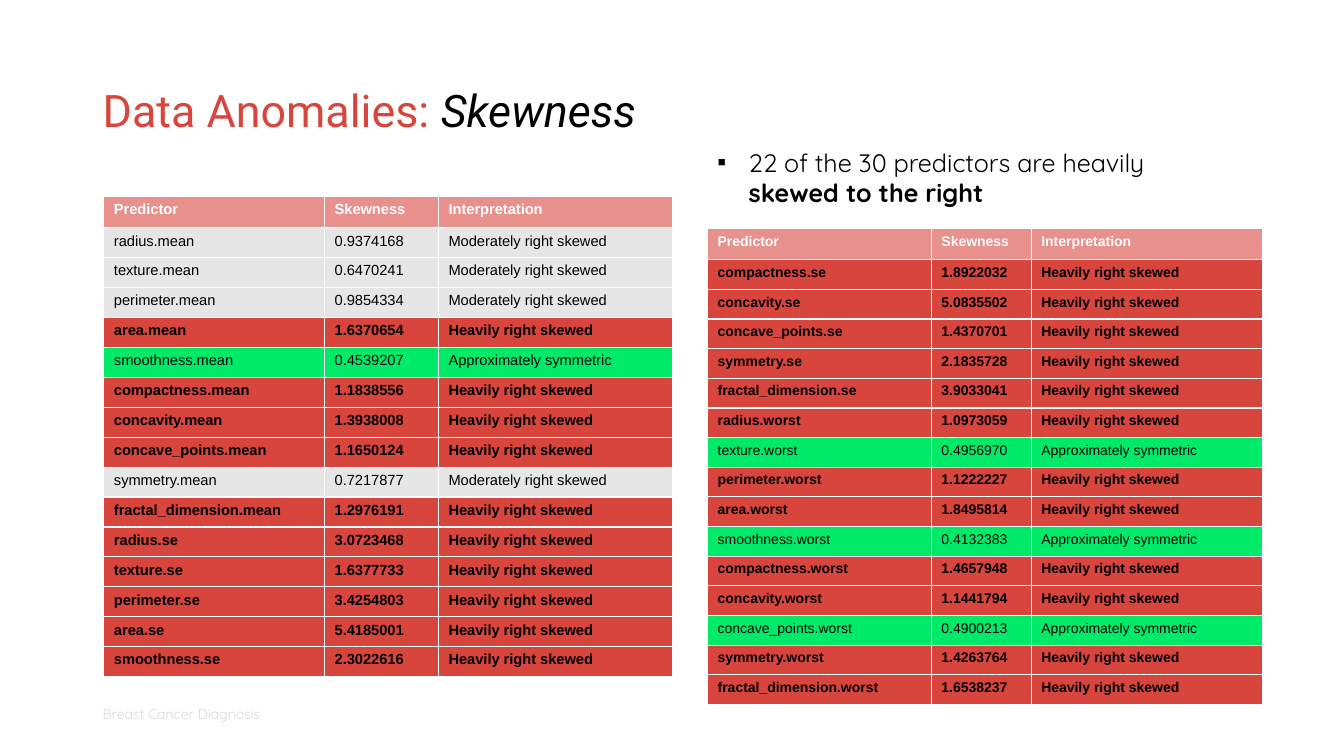
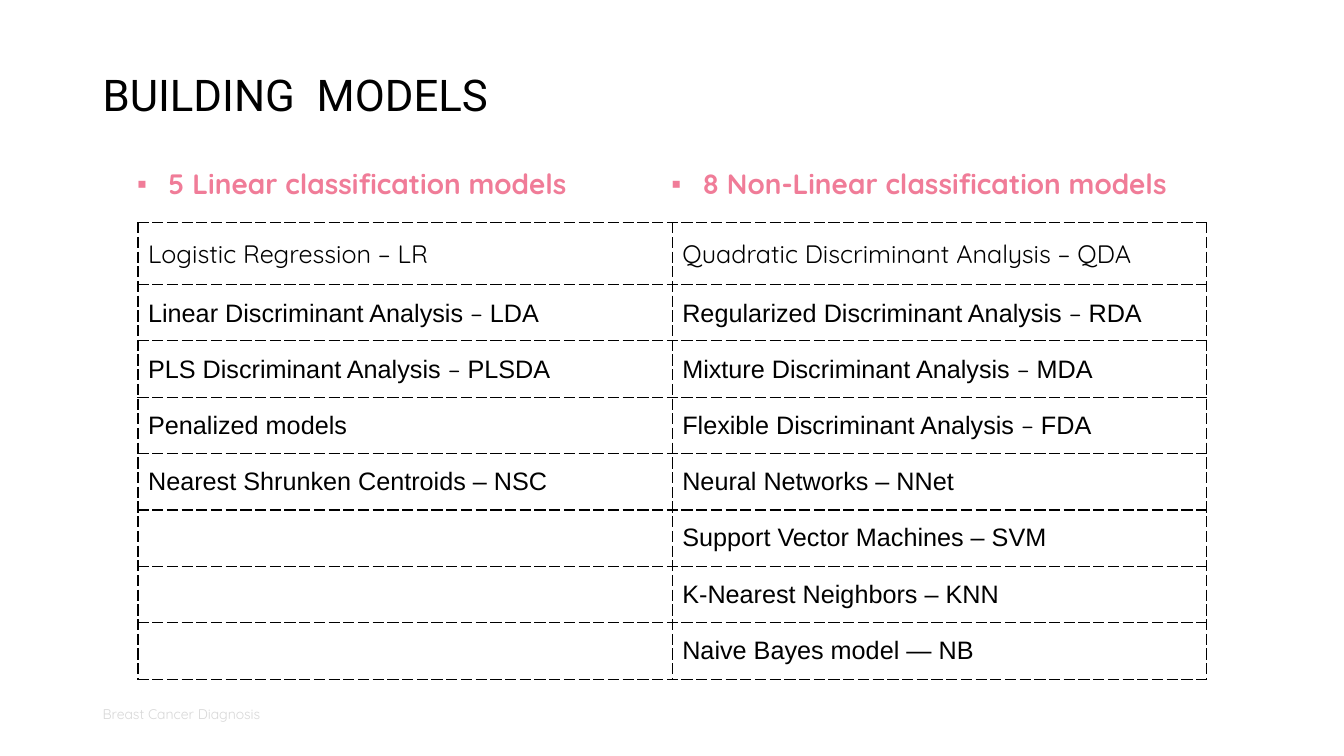
from dataclasses import dataclass

from lxml import etree
from pptx import Presentation
from pptx.dml.color import RGBColor
from pptx.enum.text import MSO_ANCHOR
from pptx.oxml.ns import qn
from pptx.util import Emu, Inches, Pt

TOP, MIDDLE = MSO_ANCHOR.TOP, MSO_ANCHOR.MIDDLE
SLIDE_W, SLIDE_H = Inches(13.33), Inches(7.5)


@dataclass(frozen=True)
class Theme:
    black: str = "000000"
    white: str = "FFFFFF"
    red: str = "D8453D"
    head: str = "E8908B"
    grey: str = "E7E6E6"
    green: str = "00EA6A"
    pink: str = "F07C98"
    footer: str = "D8D8D8"
    title_font: str = "Roboto"
    text_font: str = "Quicksand"
    table_font: str = "Arial"
    title_size: float = 32
    caps_title_size: float = 31.2
    heading_size: float = 20
    body_size: float = 18
    footer_size: float = 10


T = Theme()

# Boxes are left, top, width, height in percent of the slide
TITLE_BOX = (6.9, 5.33, 81.9, 19.33)
CAPS_TITLE_BOX = (6.9, 5.2, 81.9, 15.33)
FOOTER_BOX = (6.9, 92.67, 33.75, 5.33)
NOTE_BOX = (52.65, 18.8, 37.28, 9.47)
LEFT_BOX = (7.73, 26, 42.3, 63.5)
RIGHT_BOX = (52.65, 30.27, 41.33, 62.93)
MODELS_BOX = (10.27, 29.47, 79.5, 60.4)

LEFT_SKEW = [
    ("radius.mean", 0.9374168), ("texture.mean", 0.6470241),
    ("perimeter.mean", 0.9854334), ("area.mean", 1.6370654),
    ("smoothness.mean", 0.4539207), ("compactness.mean", 1.1838556),
    ("concavity.mean", 1.3938008), ("concave_points.mean", 1.1650124),
    ("symmetry.mean", 0.7217877), ("fractal_dimension.mean", 1.2976191),
    ("radius.se", 3.0723468), ("texture.se", 1.6377733),
    ("perimeter.se", 3.4254803), ("area.se", 5.4185001),
    ("smoothness.se", 2.3022616),
]
RIGHT_SKEW = [
    ("compactness.se", 1.8922032), ("concavity.se", 5.0835502),
    ("concave_points.se", 1.4370701), ("symmetry.se", 2.1835728),
    ("fractal_dimension.se", 3.9033041), ("radius.worst", 1.0973059),
    ("texture.worst", 0.4956970), ("perimeter.worst", 1.1222227),
    ("area.worst", 1.8495814), ("smoothness.worst", 0.4132383),
    ("compactness.worst", 1.4657948), ("concavity.worst", 1.1441794),
    ("concave_points.worst", 0.4900213), ("symmetry.worst", 1.4263764),
    ("fractal_dimension.worst", 1.6538237),
]
MODELS = [
    ("Logistic Regression – LR", "Quadratic Discriminant Analysis – QDA"),
    ("Linear Discriminant Analysis – LDA", "Regularized Discriminant Analysis – RDA"),
    ("PLS Discriminant Analysis – PLSDA", "Mixture Discriminant Analysis – MDA"),
    ("Penalized models", "Flexible Discriminant Analysis – FDA"),
    ("Nearest Shrunken Centroids – NSC", "Neural Networks – NNet"),
    ("", "Support Vector Machines – SVM"),
    ("", "K-Nearest Neighbors – KNN"),
    ("", "Naive Bayes model — NB"),
]


def place(box):
    """Turn percentages of the slide into lengths."""
    sides = (SLIDE_W, SLIDE_H, SLIDE_W, SLIDE_H)
    return [Emu(round(share * side / 100)) for share, side in zip(box, sides)]


def add_bullet(p, color):
    pPr = p._p.get_or_add_pPr()
    pPr.set("marL", str(Inches(0.31)))
    pPr.set("indent", str(-Inches(0.31)))
    clr = etree.SubElement(pPr, qn("a:buClr"))
    etree.SubElement(clr, qn("a:srgbClr"), val=color)
    etree.SubElement(pPr, qn("a:buFont"), typeface="Arial")
    etree.SubElement(pPr, qn("a:buChar"), char="▪")


def write(tf, *runs, bullet=None, spacing=None, **fmt):
    """Fill one paragraph; a run is a text or a (text, own format) pair."""
    p = tf.paragraphs[0]
    if bullet:
        add_bullet(p, bullet)
    if spacing:
        p.line_spacing = spacing
    for run in runs:
        text, own = (run, {}) if isinstance(run, str) else run
        f = {**fmt, **own}
        r = p.add_run()
        r.text = text
        r.font.name = f["font"]
        r.font.size = Pt(f["size"])
        r.font.color.rgb = RGBColor.from_string(f.get("color", T.black))
        r.font.bold = f.get("bold", False)
        r.font.italic = f.get("italic", False)
        if "tracking" in f:
            r.font._element.set("spc", str(f["tracking"]))


def text_box(slide, box, *runs, anchor=TOP, **fmt):
    tf = slide.shapes.add_textbox(*place(box)).text_frame
    tf.word_wrap = True
    tf.vertical_anchor = anchor
    write(tf, *runs, **fmt)


def border(cell, color, dash):
    tcPr = cell._tc.get_or_add_tcPr()
    for i, side in enumerate(("lnL", "lnR", "lnT", "lnB")):
        ln = etree.Element(qn("a:" + side), w=str(Pt(1)))
        fill = etree.SubElement(ln, qn("a:solidFill"))
        etree.SubElement(fill, qn("a:srgbClr"), val=color)
        etree.SubElement(ln, qn("a:prstDash"), val=dash)
        tcPr.insert(i, ln)


def grid(slide, box, rows, widths, first_row, line, dash="solid", anchor=TOP):
    """Draw rows of (runs, fill, format) cells; first_row is its share of the height."""
    x, y, w, h = place(box)
    tbl = slide.shapes.add_table(len(rows), len(widths), x, y, w, h).table
    tbl.first_row = tbl.horz_banding = False
    for col, width in zip(tbl.columns, widths):
        col.width = Emu(round(w * width / sum(widths)))
    other_row = (1 - first_row) / (len(rows) - 1)
    for i, cells in enumerate(rows):
        tbl.rows[i].height = Emu(round(h * (other_row if i else first_row)))
        for j, (runs, fill, fmt) in enumerate(cells):
            cell = tbl.cell(i, j)
            cell.vertical_anchor = anchor
            cell.fill.solid()
            cell.fill.fore_color.rgb = RGBColor.from_string(fill)
            border(cell, line, dash)
            write(cell.text_frame, *runs, **fmt)


def base_slide(prs, box, *title, size):
    """Blank slide with the shared title style and footer."""
    slide = prs.slides.add_slide(prs.slide_layouts[6])
    text_box(slide, box, *title, anchor=MIDDLE, spacing=0.9,
             font=T.title_font, size=size)
    text_box(slide, FOOTER_BOX, "Breast Cancer Diagnosis",
             font=T.text_font, size=T.footer_size, color=T.footer)
    return slide


def interpret(skew):
    if skew > 1:
        return "Heavily right skewed", T.red, True
    if skew > 0.5:
        return "Moderately right skewed", T.grey, False
    return "Approximately symmetric", T.green, False


def skew_table(slide, box, data, widths, size):
    fmt = dict(font=T.table_font, size=size)
    head = dict(fmt, color=T.white, bold=True)
    rows = [[([name], T.head, head)
             for name in ("Predictor", "Skewness", "Interpretation")]]
    for name, skew in data:
        meaning, fill, bold = interpret(skew)
        rows.append([([text], fill, dict(fmt, bold=bold))
                     for text in (name, f"{skew:.7f}", meaning)])
    grid(slide, box, rows, widths, 0.065, T.white)


def model_runs(text, row):
    """Split a model from its short name where the dash has its own font."""
    name, dash, short = text.partition(" – ")
    if dash and 1 <= row <= 3:
        return [name, (dash, {"font": T.text_font}), short]
    return [text] if text else []


def models_table(slide, box):
    rows = []
    for i, pair in enumerate(MODELS):
        fmt = dict(font=T.table_font if i else T.text_font, size=T.body_size)
        rows.append([(model_runs(text, i), T.white, fmt) for text in pair])
    grid(slide, box, rows, (1, 1), 0.135, T.black, dash="dash", anchor=MIDDLE)


def skewness_slide(prs):
    slide = base_slide(prs, TITLE_BOX, ("Data Anomalies: ", {"color": T.red}),
                       ("Skewness", {"italic": True}), size=T.title_size)
    skew_table(slide, LEFT_BOX, LEFT_SKEW, (2.19, 1.13, 2.32), 10.5)
    text_box(slide, NOTE_BOX, "22 of the 30 predictors are heavily ",
             ("skewed to the right", {"bold": True}), bullet=T.black,
             font=T.text_font, size=T.body_size)
    skew_table(slide, RIGHT_BOX, RIGHT_SKEW, (2.22, 0.99, 2.3), 10)


def models_slide(prs):
    slide = base_slide(prs, CAPS_TITLE_BOX, "BUILDING", (" ", {"tracking": 770}),
                       "MODELS", size=T.caps_title_size)
    # One heading above each half of the table
    x, _, w, _ = MODELS_BOX
    headings = ("5 Linear classification models", "8 Non-Linear classification models")
    for i, heading in enumerate(headings):
        text_box(slide, (x - 0.8 + i * w / 2, 21.87, 41, 5.33), heading,
                 bullet=T.pink, spacing=0.9, font=T.text_font,
                 size=T.heading_size, color=T.pink, bold=True)
    models_table(slide, MODELS_BOX)


def main():
    prs = Presentation()
    prs.slide_width, prs.slide_height = SLIDE_W, SLIDE_H
    skewness_slide(prs)
    models_slide(prs)
    prs.save("out.pptx")


if __name__ == "__main__":
    main()
